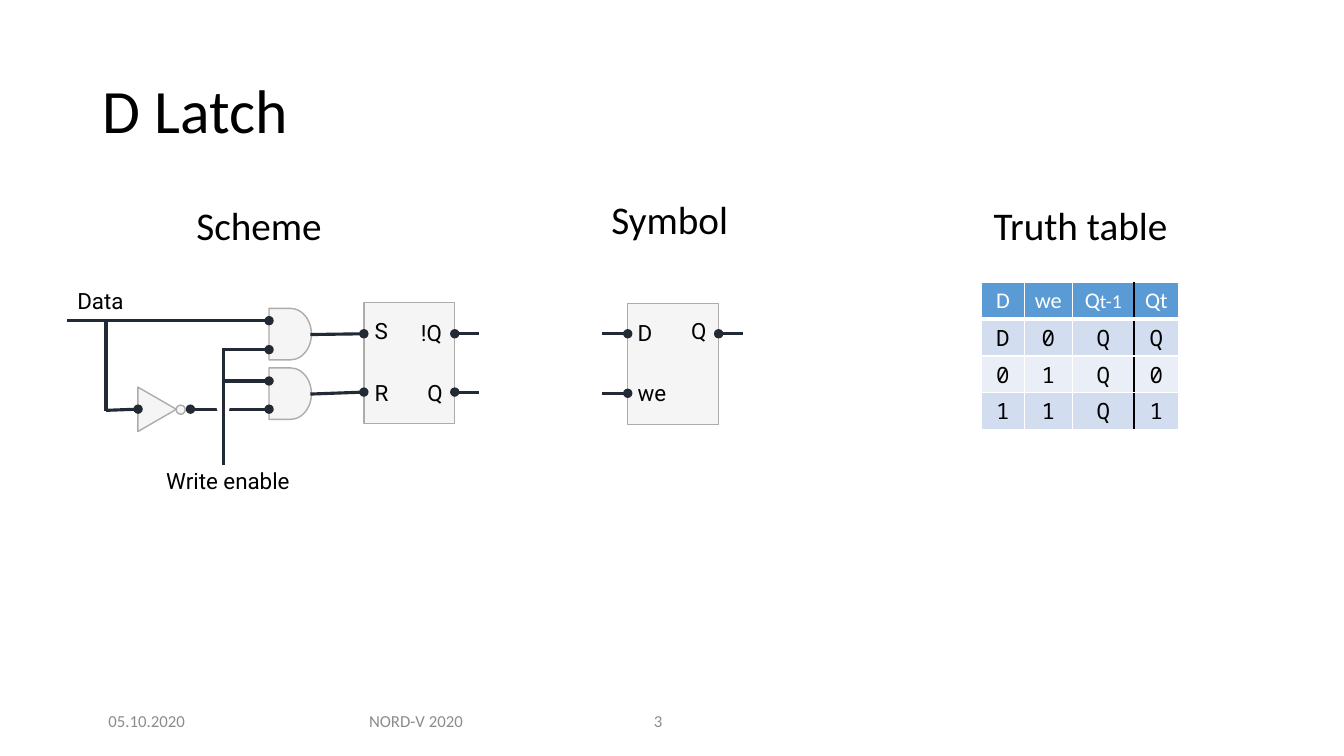
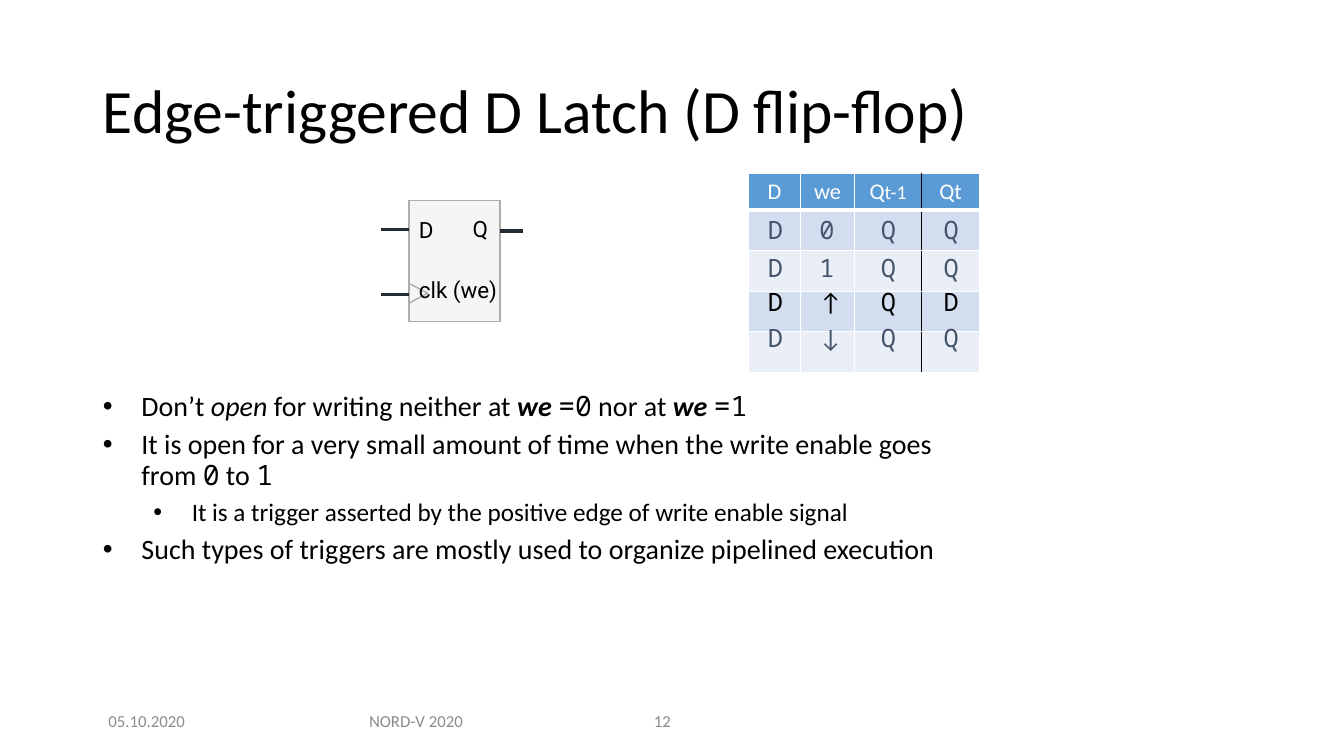
"""Build two slides about the D latch and the edge-triggered D flip-flop."""
import lxml.etree
import pptx
import pptx.dml.color
import pptx.enum.shapes
import pptx.enum.text
import pptx.oxml
import pptx.oxml.ns
import pptx.util

Cm = pptx.util.Cm
Pt = pptx.util.Pt
RGB = pptx.dml.color.RGBColor.from_string
qn = pptx.oxml.ns.qn
SHAPE = pptx.enum.shapes.MSO_SHAPE
ALIGN = pptx.enum.text.PP_ALIGN
MIDDLE = pptx.enum.text.MSO_ANCHOR.MIDDLE

COLORS = {
    "text": "000000",
    "muted": "44546A",
    "footer": "8C8C8C",
    "white": "FFFFFF",
    "block": "F5F5F5",
    "outline": "AFABAB",
    "wire": "222A35",
    "header": "5B9BD5",
    "odd_row": "D2DEEF",
    "even_row": "EAEFF7",
}
BODY_FONT = "Calibri"
LABEL_FONT = "Roboto"
MONO_FONT = "Noto Sans Mono"
BLOCK_WIDTH, BLOCK_HEIGHT = 2.29, 3.05
LABEL_HEIGHT = 0.94


def add_text(slide, text, left, top, width, height, size, font,
             color="text", align=ALIGN.LEFT, wrap=False):
    box = slide.shapes.add_textbox(Cm(left), Cm(top), Cm(width), Cm(height))
    frame = box.text_frame
    frame.word_wrap = wrap
    frame.vertical_anchor = MIDDLE
    paragraph = frame.paragraphs[0]
    paragraph.text = text
    paragraph.alignment = align
    paragraph.font.size = Pt(size)
    paragraph.font.name = font
    paragraph.font.color.rgb = RGB(COLORS[color])


def add_wire(slide, start_x, start_y, end_x, end_y, ovals=()):
    wire = slide.shapes.add_connector(
        pptx.enum.shapes.MSO_CONNECTOR.STRAIGHT,
        Cm(start_x), Cm(start_y), Cm(end_x), Cm(end_y))
    wire.line.color.rgb = RGB(COLORS["wire"])
    wire.line.width = Pt(2.25)
    line = wire.line._get_or_add_ln()
    for end in ovals:
        lxml.etree.SubElement(line, qn(f"a:{end}"), type="oval")
    lxml.etree.SubElement(wire._element.spPr, qn("a:effectLst"))


presentation = pptx.Presentation()
presentation.slide_width = Cm(33.87)
presentation.slide_height = Cm(19.05)

slides = []
for layout_index, title_text, number in [
    (5, "D Latch", "3"),
    (1, "Edge-triggered D Latch (D flip-flop)", "12"),
]:
    slide = presentation.slides.add_slide(presentation.slide_layouts[layout_index])
    slides.append(slide)
    title = slide.shapes.title
    title.left, title.top, title.width, title.height = Cm(2.34), Cm(1.02), Cm(29.21), Cm(3.68)
    title.text_frame.text = title_text
    title.text_frame.vertical_anchor = MIDDLE
    paragraph = title.text_frame.paragraphs[0]
    paragraph.alignment = ALIGN.LEFT
    paragraph.line_spacing = 0.9
    paragraph.font.size = Pt(44)
    paragraph.font.name = BODY_FONT
    paragraph.font.color.rgb = RGB(COLORS["text"])
    for text, left, width, align in [
        ("05.10.2020", 2.34, 2.72, ALIGN.CENTER),
        ("NORD-V 2020", 8.48, 4.01, ALIGN.CENTER),
        (number, 16.23, 2.01, ALIGN.LEFT),
    ]:
        add_text(slide, text, left, 17.65, width, 1.02, 12, BODY_FONT, "footer", align, True)
latch_slide, flip_flop_slide = slides

for text, left, top, width in [
    ("Symbol", 15.16, 4.78, 3.45),
    ("Scheme", 4.7, 4.93, 3.7),
    ("Truth table", 24.79, 4.95, 4.95),
]:
    add_text(latch_slide, text, left, top, width, 1.45, 28, BODY_FONT)

header = [("D",), ("we",), ("Q", "t-1"), ("Qt",)]
latch_rows = [[(value,) for value in row] for row in ("D0QQ", "01Q0", "11Q1")]
for slide, left, top, widths, row_height, rows in [
    (latch_slide, 24.74, 7.11, [1.07, 1.22, 1.55, 1.12], 0.93, latch_rows),
    (flip_flop_slide, 18.87, 4.37, [1.3, 1.37, 1.68, 1.47], 1.02, [[()] * 4] * 4),
]:
    table = slide.shapes.add_table(
        len(rows) + 1, len(widths), Cm(left), Cm(top),
        Cm(sum(widths)), Cm(0.93 + row_height * len(rows))).table
    for column, width in zip(table.columns, widths):
        column.width = Cm(width)
    for row_index, values in enumerate([header] + rows):
        table.rows[row_index].height = Cm(row_height if row_index else 0.93)
        fill = ("odd_row" if row_index % 2 else "even_row") if row_index else "header"
        for column_index, parts in enumerate(values):
            cell = table.cell(row_index, column_index)
            cell.margin_left = cell.margin_right = Cm(0.1)
            cell.margin_top = cell.margin_bottom = Cm(0.05)
            cell.vertical_anchor = MIDDLE
            cell.fill.solid()
            cell.fill.fore_color.rgb = RGB(COLORS[fill])
            paragraph = cell.text_frame.paragraphs[0]
            paragraph.alignment = ALIGN.CENTER
            paragraph.font.size = Pt(16)
            paragraph.font.bold = False
            paragraph.font.name = MONO_FONT if row_index else BODY_FONT
            paragraph.font.color.rgb = RGB(COLORS["text" if row_index else "white"])
            for part in parts:
                run = paragraph.add_run()
                run.text = part
                if part == "t-1":
                    run.font.size = Pt(14)
            properties = cell._tc.get_or_add_tcPr()
            for position, side in enumerate("LRTB"):
                dark = (column_index, side) in [(2, "R"), (3, "L")]
                thick = row_index == 0 and side == "B"
                border = lxml.etree.Element(qn(f"a:ln{side}"), w=str(Pt(3 if thick else 1)))
                solid = lxml.etree.SubElement(border, qn("a:solidFill"))
                lxml.etree.SubElement(solid, qn("a:srgbClr"),
                                      val=COLORS["text" if dark else "white"])
                properties.insert(position, border)

for slide, preset, left, top, width, height, rotation in [
    (latch_slide, SHAPE.RECTANGLE, 15.82, 7.65, BLOCK_WIDTH, BLOCK_HEIGHT, 0),
    (latch_slide, SHAPE.RECTANGLE, 9.17, 7.62, BLOCK_WIDTH, BLOCK_HEIGHT, 0),
    (latch_slide, SHAPE.FLOWCHART_DELAY, 6.78, 7.77, 1.07, 1.3, 0),
    (latch_slide, SHAPE.FLOWCHART_DELAY, 6.78, 9.27, 1.07, 1.3, 0),
    (latch_slide, SHAPE.ISOSCELES_TRIANGLE, 3.4, 9.83, 1.12, 0.97, 90),
    (latch_slide, SHAPE.OVAL, 4.44, 10.21, 0.23, 0.23, 0),
    (flip_flop_slide, SHAPE.RECTANGLE, 10.31, 5.05, BLOCK_WIDTH, BLOCK_HEIGHT, 0),
    (flip_flop_slide, SHAPE.ISOSCELES_TRIANGLE, 10.29, 7.16, 0.5, 0.46, 90),
]:
    shape = slide.shapes.add_shape(preset, Cm(left), Cm(top), Cm(width), Cm(height))
    shape.rotation = rotation
    shape.shadow.inherit = False
    shape.fill.solid()
    shape.fill.fore_color.rgb = RGB(COLORS["block"])
    shape.line.color.rgb = RGB(COLORS["outline"])
    shape.line.width = Pt(1)

add_wire(latch_slide, 4.8, 10.31, 6.78, 10.31, ("headEnd", "tailEnd"))
crossing = latch_slide.shapes.add_shape(SHAPE.OVAL, Cm(5.46), Cm(10.13), Cm(0.33), Cm(0.3))
crossing.shadow.inherit = False
crossing.fill.solid()
crossing.fill.fore_color.rgb = RGB(COLORS["white"])
crossing.line.fill.background()

for start_x, start_y, end_x, end_y in [
    (15.16, 8.41, 15.82, 8.41),
    (15.16, 9.91, 15.82, 9.91),
    (18.72, 8.41, 18.11, 8.41),
    (7.82, 8.43, 9.17, 8.41),
    (7.82, 9.93, 9.17, 9.88),
    (12.07, 8.41, 11.46, 8.41),
    (12.07, 9.88, 11.46, 9.88),
    (5.61, 9.6, 6.78, 9.6),
    (5.61, 8.81, 6.78, 8.81),
    (1.7, 8.08, 6.78, 8.08),
    (2.67, 10.34, 3.48, 10.31),
]:
    add_wire(latch_slide, start_x, start_y, end_x, end_y, ("tailEnd",))

for slide, start_x, start_y, end_x, end_y in [
    (latch_slide, 5.64, 8.76, 5.64, 11.71),
    (latch_slide, 2.67, 8.08, 2.67, 10.36),
    (flip_flop_slide, 13.18, 5.82, 12.6, 5.82),
    (flip_flop_slide, 10.31, 7.42, 9.6, 7.42),
    (flip_flop_slide, 10.31, 5.79, 9.6, 5.79),
]:
    add_wire(slide, start_x, start_y, end_x, end_y)

for slide, text, left, top, width in [
    (latch_slide, "D", 15.82, 7.9, 0.91),
    (latch_slide, "we", 15.82, 9.42, 1.24),
    (latch_slide, "Q", 17.17, 7.87, 0.97),
    (latch_slide, "S", 9.19, 7.87, 0.89),
    (latch_slide, "R", 9.19, 9.42, 0.91),
    (latch_slide, "!Q", 10.36, 7.92, 1.12),
    (latch_slide, "Q", 10.52, 9.42, 0.97),
    (latch_slide, "Data", 1.7, 7.11, 1.73),
    (latch_slide, "Write enable", 3.94, 11.63, 3.71),
    (flip_flop_slide, "D", 10.31, 5.31, 0.91),
    (flip_flop_slide, "Q", 11.66, 5.28, 0.97),
    (flip_flop_slide, "clk (we)", 10.31, 6.83, 2.51),
]:
    add_text(slide, text, left, top, width, LABEL_HEIGHT, 16, LABEL_FONT)

for top, values, color in [
    (5.26, "D0QQ", "muted"),
    (6.22, "D1QQ", "muted"),
    (7.09, "D↑QD", "text"),
    (8.0, "D↓QQ", "muted"),
]:
    for left, value in zip([19.1, 20.4, 21.95, 23.53], values):
        font = BODY_FONT if value in "↑↓" else MONO_FONT
        add_text(flip_flop_slide, value, left, top, 0.86, 1.02, 18, font, color, ALIGN.CENTER)

body = flip_flop_slide.placeholders[1]
body.left, body.top, body.width, body.height = Cm(2.34), Cm(9.75), Cm(21.72), Cm(7.16)
body.text_frame.auto_size = pptx.enum.text.MSO_AUTO_SIZE.NONE
bullets = [
    (0, [("Don’t ", ""), ("open", "italic"), (" for writing neither at ", ""),
         ("we ", "bold italic"), ("=0", "mono"), (" nor at ", ""),
         ("we ", "bold italic"), ("=1", "mono")]),
    (0, [("It is open for a very small amount of time when the write enable goes from ", ""),
         ("0", "mono"), (" to ", ""), ("1", "mono")]),
    (1, [("It is a trigger asserted by the positive edge of write enable signal", "")]),
    (0, [("Such types of triggers are mostly used to organize pipelined execution", "")]),
]
for index, (level, runs) in enumerate(bullets):
    paragraph = body.text_frame.add_paragraph() if index else body.text_frame.paragraphs[0]
    paragraph.level = level
    paragraph.line_spacing = 0.9
    paragraph.space_before = Pt(6)
    paragraph.font.size = Pt(18 if level else 20)
    paragraph.font.name = BODY_FONT
    paragraph.font.color.rgb = RGB(COLORS["text"])
    properties = paragraph._p.get_or_add_pPr()
    properties.set("marL", str(Cm(2.24 if level else 0.97)))
    properties.set("indent", str(-Cm(0.97)))
    bullet = lxml.etree.Element(qn("a:buChar"), char="•")
    properties.find(qn("a:defRPr")).addprevious(bullet)
    for text, style in runs:
        run = paragraph.add_run()
        run.text = text
        if "italic" in style:
            run.font.italic = True
        if "bold" in style:
            run.font.bold = True
        if style == "mono":
            run.font.name = MONO_FONT

presentation.save("out.pptx")
